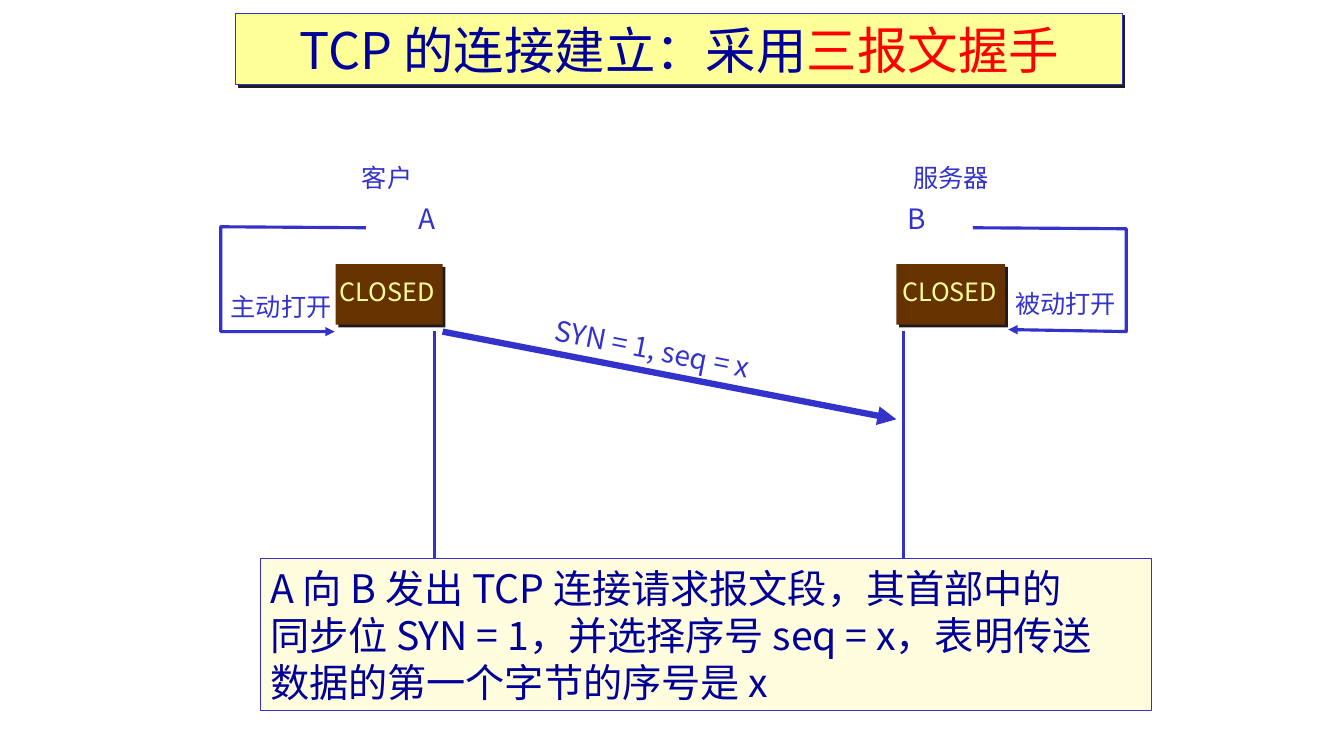
from lxml.etree import SubElement
from pptx import Presentation
from pptx.dml.color import RGBColor
from pptx.enum.shapes import MSO_CONNECTOR, MSO_SHAPE
from pptx.enum.text import MSO_ANCHOR, PP_ALIGN
from pptx.oxml.ns import qn
from pptx.util import Inches, Pt

BLUE = RGBColor(0x33, 0x33, 0xCC)
NAVY = RGBColor(0x00, 0x00, 0x99)
RED = RGBColor(0xFF, 0x00, 0x00)
BROWN = RGBColor(0x66, 0x33, 0x00)
YELLOW = RGBColor(0xFF, 0xFF, 0x99)
CREAM = RGBColor(0xFF, 0xFD, 0xDE)
SHADOW = RGBColor(0x1C, 0x1C, 0x1C)


class Diagram:
    font = "Noto Sans CJK SC"
    line_height = 1.21

    def __init__(self, slide):
        self.slide = slide
        self.shapes = slide.shapes

    def set_text(self, frame, text, size=18, color=BLUE, accent="", accent_color=RED,
                 align=PP_ALIGN.LEFT, anchor=MSO_ANCHOR.TOP, wrap=False):
        frame.word_wrap = wrap
        frame.vertical_anchor = anchor
        for index, line in enumerate(text.split("\n")):
            paragraph = frame.add_paragraph() if index else frame.paragraphs[0]
            paragraph.alignment = align
            paragraph.line_spacing = Pt(round(size * self.line_height, 1))
            for words, ink in ((line, color), (accent, accent_color)):
                if words:
                    run = paragraph.add_run()
                    run.text = words
                    run.font.size = Pt(size)
                    run.font.name = self.font
                    run.font.color.rgb = ink
                    SubElement(run.font._element, qn("a:ea"), typeface=self.font)

    def paint(self, shape, fill, line=None, shadow=False):
        shape.fill.solid()
        shape.fill.fore_color.rgb = fill
        if line:
            shape.line.color.rgb = line
            shape.line.width = Pt(0.75)
        else:
            shape.line.fill.background()
        shape.shadow.inherit = False
        if shadow:
            effects = shape._element.spPr.find(qn("a:effectLst"))
            outer = SubElement(effects, qn("a:outerShdw"), dist=str(Pt(2.8)),
                               dir="2700000", algn="ctr", rotWithShape="0")
            SubElement(outer, qn("a:srgbClr"), val=str(SHADOW))

    def title(self, left, top, width, height, text, **style):
        heading = self.shapes.title
        heading.left, heading.top = Inches(left), Inches(top)
        heading.width, heading.height = Inches(width), Inches(height)
        self.paint(heading, YELLOW, BLUE, shadow=True)
        self.set_text(heading.text_frame, text, **style)

    def box(self, left, top, width, height, fill, line=None, shadow=False):
        rectangle = self.shapes.add_shape(MSO_SHAPE.RECTANGLE, Inches(left), Inches(top),
                                          Inches(width), Inches(height))
        self.paint(rectangle, fill, line, shadow)
        return rectangle

    def label(self, left, top, width, height, text, rotation=0, **style):
        label = self.shapes.add_textbox(Inches(left), Inches(top),
                                        Inches(width), Inches(height))
        label.rotation = rotation
        self.set_text(label.text_frame, text, **style)

    def stroke(self, outline, width):
        outline.line.color.rgb = BLUE
        outline.line.width = Pt(width)
        SubElement(outline.line._ln, qn("a:tailEnd"), type="triangle")

    def arrow(self, x1, y1, x2, y2, width=2.25):
        arrow = self.shapes.add_connector(MSO_CONNECTOR.STRAIGHT, Inches(x1), Inches(y1),
                                          Inches(x2), Inches(y2))
        self.stroke(arrow, width)
        SubElement(arrow._element.spPr, qn("a:effectLst"))

    def bent_arrow(self, *points):
        start, *corners = [(Inches(x), Inches(y)) for x, y in points]
        builder = self.shapes.build_freeform(*start)
        builder.add_line_segments(corners, close=False)
        bend = builder.convert_to_shape()
        bend.fill.background()
        bend.shadow.inherit = False
        self.stroke(bend, 2.25)


def main():
    presentation = Presentation()
    presentation.slide_width = Inches(13.33)
    presentation.slide_height = Inches(7.5)
    diagram = Diagram(presentation.slides.add_slide(presentation.slide_layouts[5]))

    diagram.title(2.34, 0.13, 8.79, 0.71, "TCP 的连接建立：采用", accent="三报文握手",
                  size=36, color=NAVY, align=PP_ALIGN.CENTER,
                  anchor=MSO_ANCHOR.MIDDLE, wrap=True)

    for lifeline in (4.31, 8.96):
        diagram.arrow(lifeline, 3.28, lifeline, 7.04)

    diagram.label(5.39, 3.3, 2.78, 0.43, "SYN = 1, seq = x", rotation=11.1, size=20, wrap=True)
    diagram.arrow(4.39, 3.29, 8.89, 4.16, width=4.5)

    for state_left, state_width, state_text_left in ((3.33, 1.06, 3.27), (8.89, 1.08, 8.85)):
        diagram.box(state_left, 2.62, state_width, 0.6, BROWN, shadow=True)
        diagram.label(state_text_left, 2.69, 1.17, 0.4, "CLOSED", color=YELLOW)

    diagram.label(2.19, 2.84, 1.22, 0.4, "主动打开")
    diagram.bent_arrow((3.63, 2.26), (2.19, 2.25), (2.19, 3.29), (3.32, 3.29))
    diagram.label(9.97, 2.81, 1.22, 0.4, "被动打开")
    diagram.bent_arrow((9.65, 2.26), (11.17, 2.27), (11.17, 3.29), (10, 3.27))

    diagram.label(4.05, 1.95, 0.41, 0.43, "A", size=20)
    diagram.label(8.9, 1.95, 0.38, 0.43, "B", size=20)
    diagram.label(3.49, 1.56, 0.71, 0.4, "客户")
    diagram.label(8.96, 1.56, 0.96, 0.4, "服务器")

    explanation = diagram.box(2.58, 5.54, 8.84, 1.51, CREAM, BLUE)
    diagram.set_text(explanation.text_frame,
                     "A 向 B 发出 TCP 连接请求报文段，其首部中的\n"
                     "同步位 SYN = 1，并选择序号 seq = x，表明传送\n"
                     "数据的第一个字节的序号是 x", size=28, color=NAVY)

    presentation.save("out.pptx")


if __name__ == "__main__":
    main()
